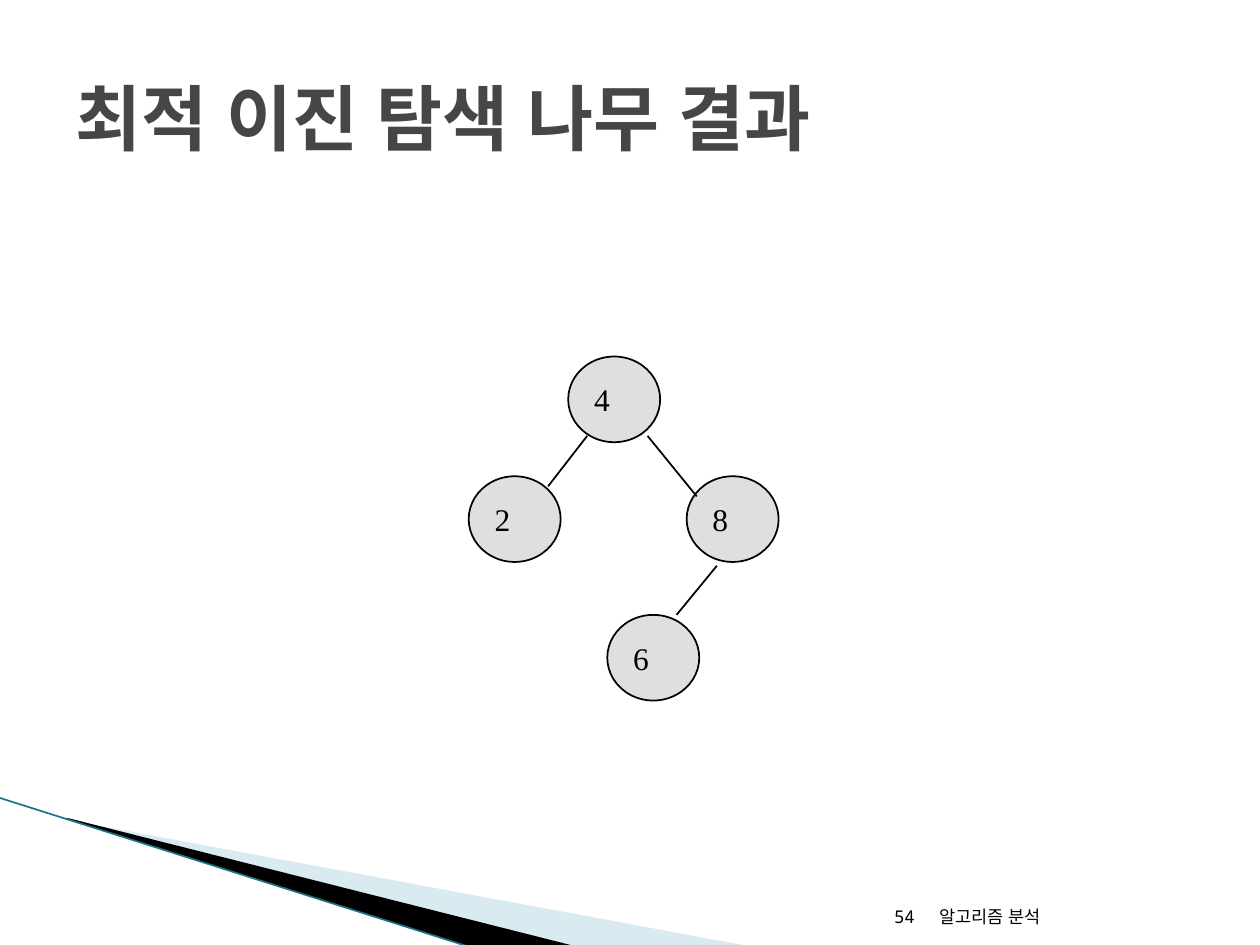
from dataclasses import dataclass

from lxml.etree import SubElement
from pptx import Presentation
from pptx.dml.color import RGBColor as Color
from pptx.enum.shapes import MSO_CONNECTOR as Connector, MSO_SHAPE as Preset
from pptx.enum.text import MSO_ANCHOR as Anchor, PP_ALIGN as Align
from pptx.oxml.ns import qn
from pptx.util import Inches, Pt


@dataclass(frozen=True)
class Theme:
    ink: str = "000000"
    title: str = "464646"
    node: str = "C0C0C0"
    pale_wedge: str = "A0CBDC"
    edge_stripe: str = "1B7386"
    sans: str = "Noto Sans Mono"
    hangul: str = "Noto Sans"
    serif: str = "Times New Roman"
    title_size: float = 41
    node_size: float = 18
    footer_size: float = 10


def write_text(shape, text, *, font, hangul, size, color, bold=False,
               align=Align.LEFT, anchor=Anchor.MIDDLE):
    frame = shape.text_frame
    frame.word_wrap = True
    frame.vertical_anchor = anchor
    para = frame.paragraphs[0]
    para.alignment = align
    span = para.add_run()
    span.text = text
    span.font.name = font
    span.font.size = Pt(size)
    span.font.bold = bold
    span.font.color.rgb = Color.from_string(color)
    SubElement(span.font._element, qn("a:ea"), typeface=hangul)


class SlideBuilder:
    def __init__(self, page, theme):
        self.page = page
        self.theme = theme

    def fill(self, shape, color, opacity=100):
        shape.shadow.inherit = False
        shape.fill.solid()
        shape.fill.fore_color.rgb = Color.from_string(color)
        if opacity < 100:
            tint = shape.fill._xPr.find(qn("a:solidFill"))[0]
            SubElement(tint, qn("a:alpha"), val=str(opacity * 1000))

    def wedge(self, points, color, opacity=100):
        start, *rest = [(Inches(x), Inches(y)) for x, y in points]
        builder = self.page.shapes.build_freeform(*start)
        builder.add_line_segments(rest, close=True)
        shape = builder.convert_to_shape()
        self.fill(shape, color, opacity)
        shape.line.fill.background()

    def line(self, start, end, color, width=1):
        connector = self.page.shapes.add_connector(
            Connector.STRAIGHT, *map(Inches, (*start, *end)))
        connector.line.color.rgb = Color.from_string(color)
        connector.line.width = Pt(width)
        SubElement(connector._element.spPr, qn("a:effectLst"))

    def text(self, text, left, top, width, height, **style):
        box = self.page.shapes.add_textbox(*map(Inches, (left, top, width, height)))
        write_text(box, text, font=self.theme.sans, hangul=self.theme.hangul, **style)

    def node(self, label, left, top):
        shape = self.page.shapes.add_shape(
            Preset.OVAL, Inches(left), Inches(top), Inches(0.73), Inches(0.68))
        self.fill(shape, self.theme.node, opacity=50)
        shape.line.color.rgb = Color.from_string(self.theme.ink)
        shape.line.width = Pt(1)
        write_text(shape, label, font=self.theme.serif, hangul=self.theme.serif,
                   size=self.theme.node_size, color=self.theme.ink)


def main():
    theme = Theme()
    deck = Presentation()
    deck.slide_width, deck.slide_height = Inches(10), Inches(7.5)
    slide = SlideBuilder(deck.slides.add_slide(deck.slide_layouts[6]), theme)

    # Corner decoration
    slide.wedge([(0.55, 6.51), (5.95, 7.51), (4.56, 7.51), (0.55, 6.5)],
                theme.pale_wedge, opacity=40)
    slide.wedge([(0.53, 6.49), (4.57, 7.51), (3.72, 7.51), (0.54, 6.5)], theme.ink)
    slide.line((-0.01, 6.33), (3.71, 7.51), theme.edge_stripe, width=0.95)

    # Footer and title
    footer = dict(size=theme.footer_size, color=theme.ink, anchor=Anchor.BOTTOM)
    slide.text("알고리즘 분석", 7.36, 7.01, 2.1, 0.4, **footer)
    slide.text("54", 4.79, 7.01, 2.57, 0.4, align=Align.RIGHT, **footer)
    slide.text("최적 이진 탐색 나무 결과", 0.5, 0.3, 9, 1.25,
               size=theme.title_size, color=theme.title, bold=True)

    # Search tree nodes
    for label, left, top in [("4", 4.51, 2.83), ("6", 4.82, 4.88),
                             ("8", 5.45, 3.78), ("2", 3.72, 3.78)]:
        slide.node(label, left, top)

    # Search tree branches
    for start, end in [((4.66, 3.46), (4.35, 3.86)),
                       ((5.14, 3.46), (5.53, 3.94)),
                       ((5.69, 4.49), (5.37, 4.88))]:
        slide.line(start, end, theme.ink)

    deck.save("out.pptx")


if __name__ == "__main__":
    main()
